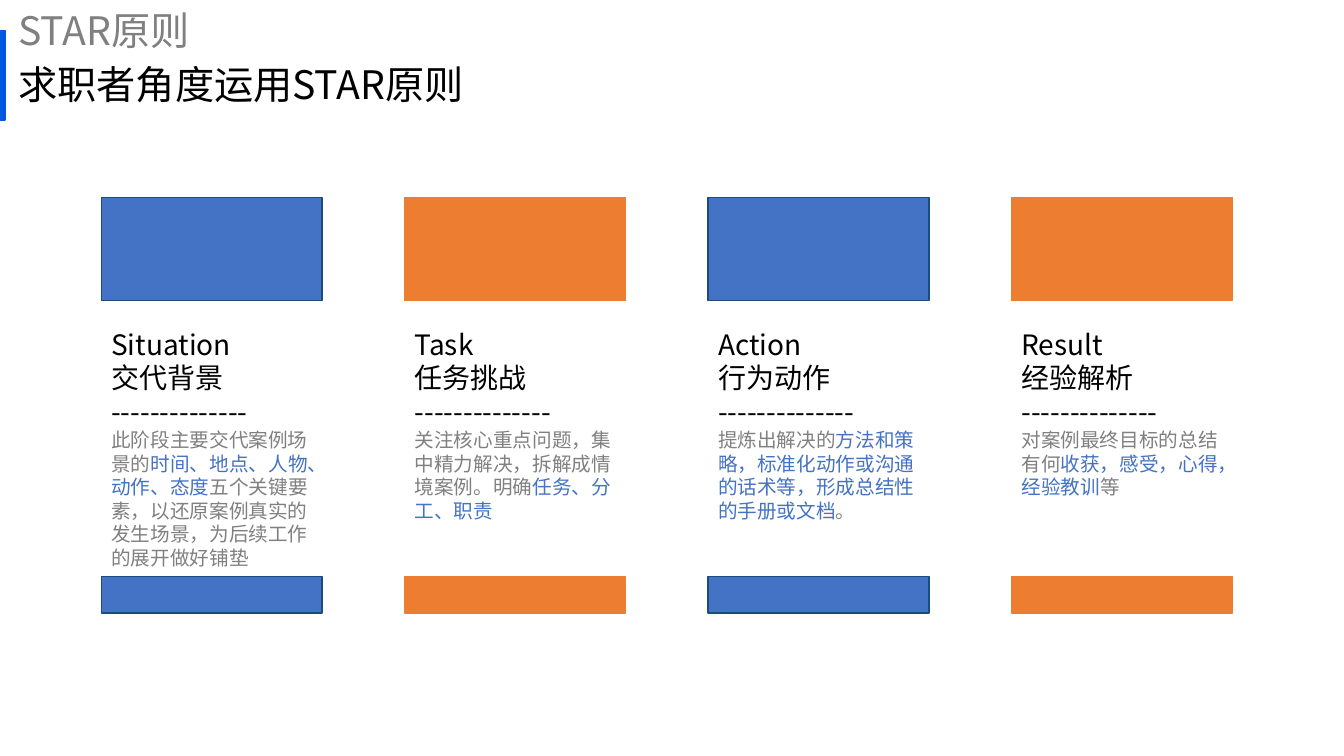
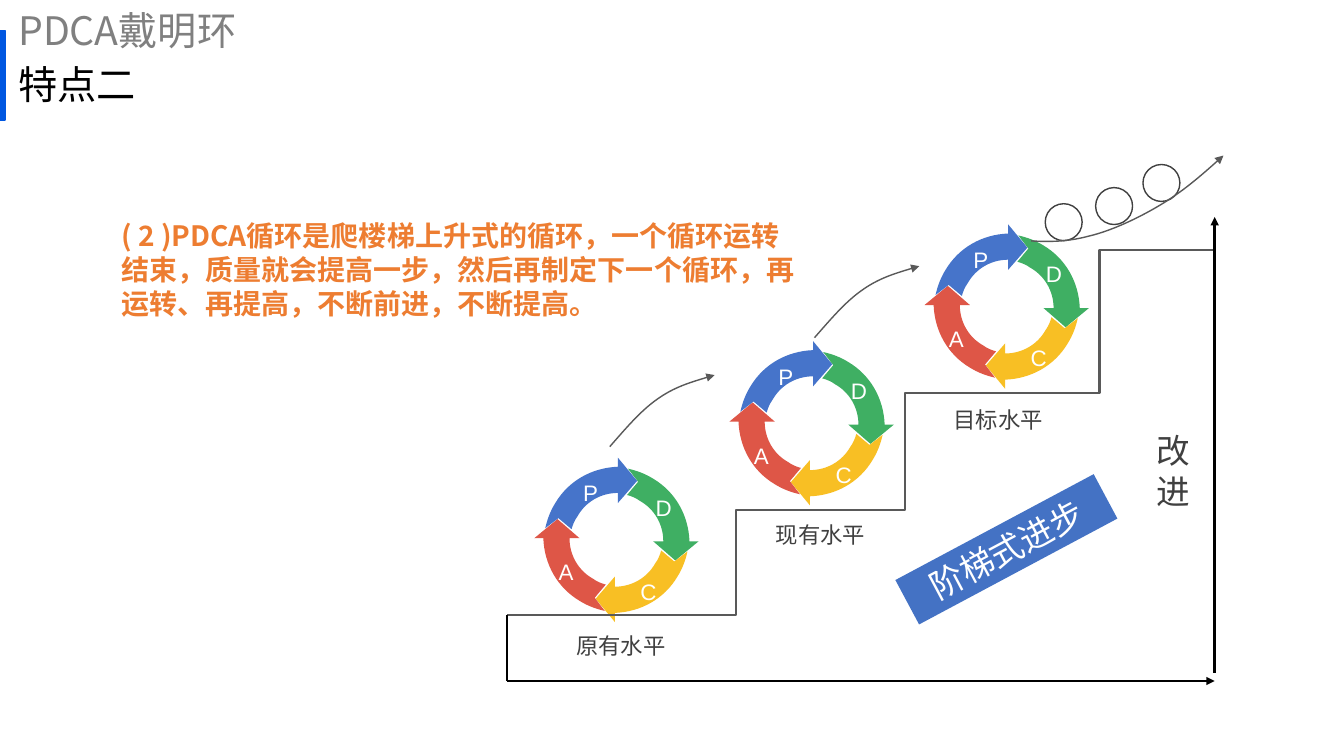
from dataclasses import dataclass

from lxml import etree
from pptx import Presentation
from pptx.dml.color import RGBColor
from pptx.enum.shapes import MSO_CONNECTOR, MSO_SHAPE
from pptx.enum.text import MSO_ANCHOR, MSO_AUTO_SIZE, PP_ALIGN
from pptx.oxml.ns import qn
from pptx.util import Pt

RECTANGLE, OVAL = MSO_SHAPE.RECTANGLE, MSO_SHAPE.OVAL
STRAIGHT = MSO_CONNECTOR.STRAIGHT
LEFT, CENTER = PP_ALIGN.LEFT, PP_ALIGN.CENTER
TOP, MIDDLE = MSO_ANCHOR.TOP, MSO_ANCHOR.MIDDLE
NO_AUTOFIT = MSO_AUTO_SIZE.NONE
TITLE_ONLY = 5


@dataclass(frozen=True)
class Theme:
    font: str = "Noto Sans CJK SC"
    letter_font: str = "Arial"
    title_size: int = 28
    callout_size: int = 24
    heading_size: int = 20
    label_size: int = 16
    body_size: int = 14
    black: str = "000000"
    white: str = "FFFFFF"
    grey: str = "808080"
    dark_grey: str = "404040"
    line_grey: str = "595959"
    band: str = "0057E1"
    blue: str = "4472C4"
    blue_edge: str = "1A4C7E"
    orange: str = "ED7D31"
    plan: str = "4674CA"
    do: str = "3FAF63"
    check: str = "F8BF24"
    act: str = "DE5647"
    thin: float = 1
    thick: float = 1.75


THEME = Theme()


@dataclass(frozen=True)
class Style:
    size: int
    color: str
    bold: bool = False
    font: str = THEME.font


HEADING = Style(THEME.heading_size, THEME.black)
BODY = Style(THEME.body_size, THEME.grey)
KEYWORD = Style(THEME.body_size, THEME.blue)
TITLE = Style(THEME.title_size, THEME.black)
TOPIC = Style(THEME.title_size, THEME.grey)
STATEMENT = Style(THEME.heading_size, THEME.orange, bold=True)
LEVEL = Style(THEME.label_size, THEME.dark_grey)
LETTER = Style(THEME.label_size, THEME.white, font=THEME.letter_font)
AXIS = Style(THEME.callout_size, THEME.dark_grey)
CALLOUT = Style(THEME.callout_size, THEME.white)

STAR_CARDS = [
    ("Situation", "交代背景", [
        [("此阶段主要交代案例场景的", BODY),
         ("时间、地点、人物、动作、态度", KEYWORD),
         ("五个关键要素，以还原案例真实的发生场景，为后续工作的展开做好铺垫", BODY)]]),
    ("Task", "任务挑战", [
        [("关注核心重点问题，集中精力解决，拆解成情境案例。明确", BODY),
         ("任务、分工、职责", KEYWORD)]]),
    ("Action", "行为动作", [
        [("提炼出解决的", BODY),
         ("方法和策略，标准化动作或沟通的话术等，形成总结性的手册或文档", KEYWORD),
         ("。", BODY)]]),
    ("Result", "经验解析", [
        [("对案例最终目标的总结", BODY)],
        [("有何", BODY), ("收获，感受，心得，经验教训", KEYWORD), ("等", BODY)]]),
]
CARD_COLORS = [(THEME.blue, THEME.blue_edge), (THEME.orange, THEME.orange)]

# Letter, colour and letter centre measured from the centre of the ring,
# clockwise from the segment that RING_ARROW outlines
PDCA_STEPS = [
    ("D", THEME.do, (33.8, -23.4)),
    ("C", THEME.check, (22.9, 36.6)),
    ("A", THEME.act, (-35.9, 22.8)),
    ("P", THEME.plan, (-18.4, -33.5)),
]
FIRST_RING, RING_STEP = (440.3, 385.6), (139.4, -83.3)

# Outlines are lists of segments: one point is a line, three are a cubic curve
RING_ARROW = [
    [(8.3, -50.8)],
    [(14.8, -49.3), (20.5, -47.2), (26.3, -43.6)],
    [(42.1, -34.2), (51.5, -17.6), (52.2, 1.1)],
    [(58.7, 1.1)], [(42.1, 14.8)], [(26.3, 1.1)], [(33.5, 1.1)],
    [(33.5, -11.2), (27, -22), (16.9, -27.7)],
    [(14, -29.9), (10.4, -31.3), (7.6, -32)],
    [(15.5, -41.4)],
]
STAIRS = [[(362.2, 439.2)], [(525.6, 439.2)], [(525.6, 364.3)], [(646.6, 364.3)],
          [(646.6, 280.8)], [(785.5, 280.8)], [(785.5, 178.6)], [(867.6, 178.6)]]
CLIMB_STARTS = [(435.6, 319), (581.8, 241.2)]
CLIMB = [
    [(0, 0)],
    [(10.8, -12.2), (21.6, -25.2), (33.8, -33.8)],
    [(46, -42.5), (60.5, -46.8), (74.9, -51.1)],
]
SWEEP_START = (736.6, 172.1)
SWEEP = [
    [(0, 0)],
    [(13, 0.7), (25.9, 0.7), (41.8, -3.6)],
    [(56.9, -7.2), (75.6, -15.8), (91.4, -25.2)],
    [(107.3, -34.6), (122.4, -47.5), (137.3, -61)],
]
LEVELS = [("原有水平", 404.6, 447.8), ("现有水平", 547.2, 368.6),
          ("目标水平", 673.9, 286.6)]
BALLS = [(746.6, 145.5), (782.6, 134), (816.4, 117.5)]
BALL_SIZE = 26.4


def rgb(color):
    return RGBColor.from_string(color)


def points(values):
    return [Pt(value) for value in values]


def shifted(outline, origin):
    return [[(origin[0] + x, origin[1] + y) for x, y in segment] for segment in outline]


def quarter_turned(outline):
    return [[(-y, x) for x, y in segment] for segment in outline]


def write(frame, paragraphs, align=LEFT, anchor=TOP, spacing=None):
    """Fill a text frame from paragraphs, each a list of (text, style)."""
    frame.word_wrap = True
    frame.auto_size = NO_AUTOFIT
    frame.vertical_anchor = anchor
    for index, runs in enumerate(paragraphs):
        paragraph = frame.add_paragraph() if index else frame.paragraphs[0]
        paragraph.alignment = align
        if spacing:
            paragraph.line_spacing = spacing
        for text, style in runs:
            run = paragraph.add_run()
            run.text = text
            run.font.size = Pt(style.size)
            run.font.bold = style.bold
            run.font.color.rgb = rgb(style.color)
            run.font.name = style.font
            east_asian = etree.SubElement(run.font._element, qn("a:ea"))
            east_asian.set("typeface", style.font)


def clear_insets(frame):
    frame.margin_left = frame.margin_right = 0
    frame.margin_top = frame.margin_bottom = 0


def add_text(slide, box, paragraphs, **layout):
    frame = slide.shapes.add_textbox(*points(box)).text_frame
    write(frame, paragraphs, **layout)
    return frame


def paint(shape, fill=None, edge=None, width=THEME.thin):
    shape.shadow.inherit = False
    if fill:
        shape.fill.solid()
        shape.fill.fore_color.rgb = rgb(fill)
    else:
        shape.fill.background()
    if edge:
        shape.line.color.rgb = rgb(edge)
        shape.line.width = Pt(width)
    else:
        shape.line.fill.background()


def add_shape(slide, kind, box, **colors):
    shape = slide.shapes.add_shape(kind, *points(box))
    paint(shape, **colors)
    return shape


def bend(shape, segments):
    """Join the three lines drawn for each curved segment into one cubic curve."""
    lines = shape.element.iter(qn("a:lnTo"))
    steps = iter(list(lines))
    for segment in segments:
        first, *others = [next(steps) for _ in segment]
        if others:
            first.tag = qn("a:cubicBezTo")
            for other in others:
                first.append(other[0])
                other.getparent().remove(other)


def add_outline(slide, outline, close=False, **colors):
    (start,), *segments = outline
    builder = slide.shapes.build_freeform(*points(start))
    vertices = [points(point) for segment in segments for point in segment]
    builder.add_line_segments(vertices, close=close)
    shape = builder.convert_to_shape()
    bend(shape, segments)
    paint(shape, **colors)
    return shape


def add_arrowhead(shape):
    line = shape.element.spPr.find(qn("a:ln"))
    etree.SubElement(line, qn("a:tailEnd")).set("type", "triangle")


def add_axis(slide, start, end, arrow=True):
    axis = slide.shapes.add_connector(STRAIGHT, *points(start + end))
    axis.line.color.rgb = rgb(THEME.black)
    axis.line.width = Pt(THEME.thick)
    if arrow:
        add_arrowhead(axis)
    etree.SubElement(axis.element.spPr, qn("a:effectLst"))


def add_ring(slide, center):
    arrow = RING_ARROW
    for _, color, _ in PDCA_STEPS:
        add_outline(slide, shifted(arrow, center), close=True, fill=color)
        arrow = quarter_turned(arrow)
    for letter, _, offset in PDCA_STEPS:
        x, y = center[0] + offset[0], center[1] + offset[1]
        clear_insets(add_text(slide, (x - 15, y - 12, 30, 24), [[(letter, LETTER)]],
                              align=CENTER, anchor=MIDDLE))


def add_curved_arrow(slide, start, curve):
    add_arrowhead(add_outline(slide, shifted(curve, start), edge=THEME.line_grey))


def add_titled_slide(deck, topic, title):
    slide = deck.slides.add_slide(deck.slide_layouts[TITLE_ONLY])
    holder = slide.shapes.title
    holder.left, holder.top, holder.width, holder.height = points((6, 38.2, 828, 47.5))
    write(holder.text_frame, [[(title, TITLE)]], anchor=MIDDLE, spacing=0.9)
    add_text(slide, (6, 0, 828, 47.5), [[(topic, TOPIC)]], anchor=MIDDLE, spacing=0.9)
    add_shape(slide, RECTANGLE, (0, 22, 3.6, 63.7), fill=THEME.band, edge=THEME.band)
    return slide


def add_card(slide, left, card, colors):
    name, meaning, details = card
    fill, edge = colors
    for top, height in ((141.3, 73.6), (411.8, 26)):
        add_shape(slide, RECTANGLE, (left, top, 157.7, height), fill=fill, edge=edge)
    headings = [[(line, HEADING)] for line in (name, meaning, "-" * 14)]
    add_text(slide, (left, 230.1, 157.7, 181.4), headings + details)


def build_star_slide(deck):
    slide = add_titled_slide(deck, "STAR原则", "求职者角度运用STAR原则")
    for index, card in enumerate(STAR_CARDS):
        add_card(slide, 72.4 + 216.7 * index, card, CARD_COLORS[index % 2])


def build_pdca_slide(deck):
    slide = add_titled_slide(deck, "PDCA戴明环", "特点二")
    add_text(slide, (79.5, 152.8, 496, 80), [[(
        "( 2 )PDCA循环是爬楼梯上升式的循环，一个循环运转结束，质量就会提高一步，"
        "然后再制定下一个循环，再运转、再提高，不断前进，不断提高。", STATEMENT)]])
    for index in range(3):
        add_ring(slide, [start + index * step
                         for start, step in zip(FIRST_RING, RING_STEP)])

    add_outline(slide, STAIRS, edge=THEME.line_grey, width=THEME.thick)
    add_axis(slide, (362.2, 439.2), (362.2, 486.4), arrow=False)
    add_axis(slide, (362.2, 486.4), (867.6, 486.4))
    add_axis(slide, (867.6, 480.4), (867.6, 155))
    for label, left, top in LEVELS:
        add_text(slide, (left, top, 84, 27), [[(label, LEVEL)]])

    for start in CLIMB_STARTS:
        add_curved_arrow(slide, start, CLIMB)
    for left, top in BALLS:
        add_shape(slide, OVAL, (left, top, BALL_SIZE, BALL_SIZE), edge=THEME.dark_grey)
    add_curved_arrow(slide, SWEEP_START, SWEEP)

    add_text(slide, (819.2, 303.8, 42, 66), [[("改", AXIS)], [("进", AXIS)]])
    callout = add_shape(slide, RECTANGLE, (638.6, 374.4, 160.6, 36), fill=THEME.blue)
    callout.rotation = 331.9
    write(callout.text_frame, [[("阶梯式进步", CALLOUT)]], align=CENTER, anchor=MIDDLE)
    clear_insets(callout.text_frame)


def main():
    deck = Presentation()
    deck.slide_width, deck.slide_height = Pt(960), Pt(540)
    build_star_slide(deck)
    build_pdca_slide(deck)
    deck.save("out.pptx")


if __name__ == "__main__":
    main()
